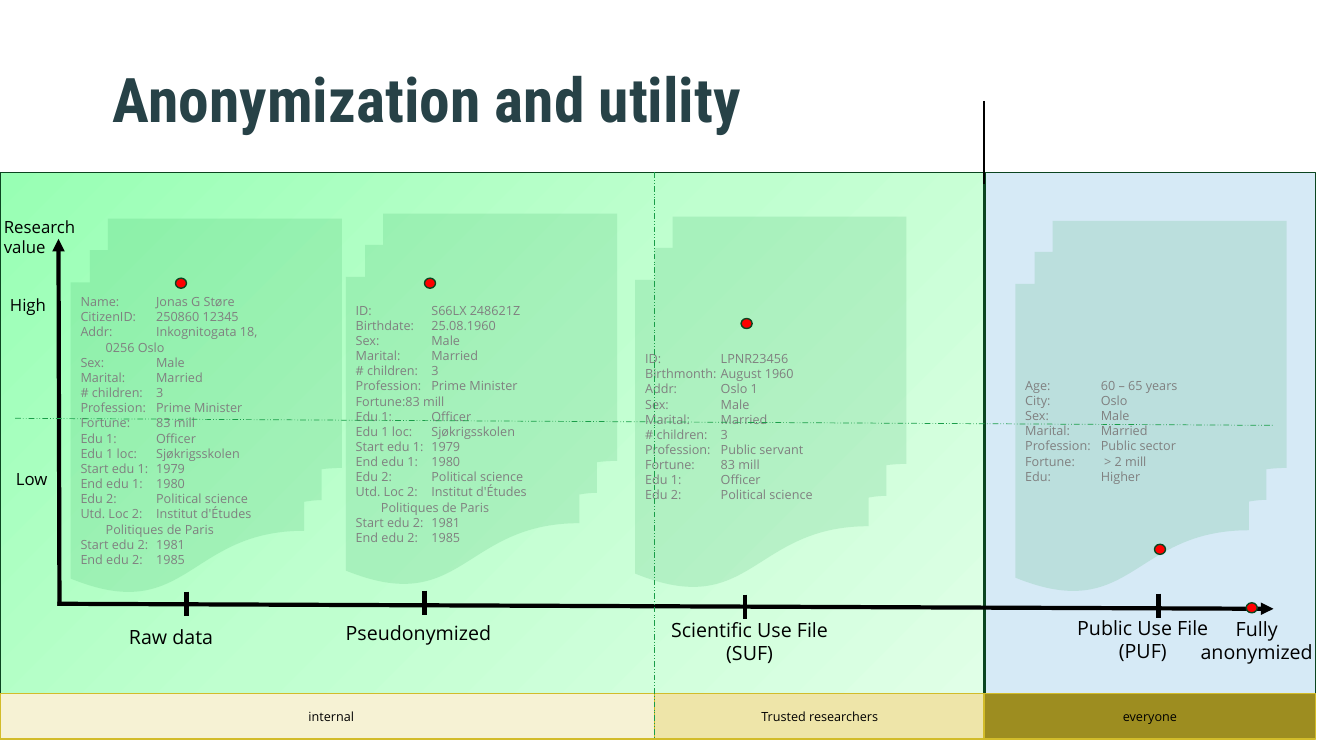
from pptx import Presentation
from pptx.dml.color import RGBColor
from pptx.enum.dml import MSO_LINE
from pptx.enum.shapes import MSO_CONNECTOR, MSO_SHAPE
from pptx.enum.text import MSO_ANCHOR, PP_ALIGN
from pptx.oxml import parse_xml
from pptx.oxml.ns import nsdecls, qn
from pptx.oxml.xmlchemy import OxmlElement
from pptx.util import Pt

PX = 9144  # 100 px to the inch
COLORS = {
    "title": "274247", "black": "000000", "gray": "808080",
    "green": "1A9D49", "dark green": "0B4520", "blue": "D6EAF6", "red": "FF0000",
    "gold": "D2BC2A", "cream": "F6F2D4", "sand": "EEE5A9", "olive": "9D8D20",
}
GRADIENT = {0: "98FFB4", 50: "BFFFCF", 100: "E0FFE7"}
BODY_FONT, TITLE_FONT = "Open Sans", "Roboto Condensed"
VALUE_TAB, CONTINUATION_TAB = 75, 25

PERSON = """Sex:\tMale
Marital:\tMarried
# children:\t3
Profession:\tPrime Minister"""
EDUCATION = """Edu 1:\tOfficer
Edu 1 loc:\tSjøkrigsskolen
Start edu 1:\t1979
End edu 1:\t1980
Edu 2:\tPolitical science
Utd. Loc 2:\tInstitut d'Études\v\tPolitiques de Paris
Start edu 2:\t1981
End edu 2:\t1985"""
RAW = f"""Name:\tJonas G Støre
CitizenID:\t250860 12345
Addr:\tInkognitogata 18,\v\t0256 Oslo
{PERSON}
Fortune:\t83 mill
{EDUCATION}"""
PSEUDONYMIZED = f"""ID:\tS66LX 248621Z
Birthdate:\t25.08.1960
{PERSON}
Fortune:83 mill
{EDUCATION}"""
SCIENTIFIC = """ID:\tLPNR23456
Birthmonth:\tAugust 1960
Addr:\tOslo 1
Sex:\tMale
Marital:\tMarried
# children:\t3
Profession:\tPublic servant
Fortune:\t83 mill
Edu 1:\tOfficer
Edu 2:\tPolitical science"""
PUBLIC = """Age:\t60 – 65 years
City:\tOslo
Sex:\tMale
Marital:\tMarried
Profession:\tPublic sector
Fortune:\t > 2 mill
Edu:\tHigher"""

RECORDS = [(70, 217, 371, RAW), (343, 212, 368, PSEUDONYMIZED),
           (630, 215, 368, SCIENTIFIC), (1007, 219, 368, PUBLIC)]
TICKS = [(185, 587), (421, 586), (739, 590), (1149, 589)]
DOTS = [(174, 276), (421, 276), (735, 316), (1145, 540), (1236, 598)]
BANDS = [(0, 657, "cream", "internal"), (649, 328, "sand", "Trusted researchers"),
         (976, 329, "olive", "everyone")]
LABELS = [
    (1040, 606, 187, 81, "Public Use File (PUF)", 14, PP_ALIGN.CENTER),
    (632, 608, 223, 81, "Scientific Use File (SUF)", 14, PP_ALIGN.CENTER),
    (118, 615, 209, 57, "Raw data", 14, PP_ALIGN.LEFT),
    (333, 611, 263, 34, "Pseudonymized", 14, PP_ALIGN.LEFT),
    (1173, 607, 147, 81, "Fully\nanonymized", 14, PP_ALIGN.CENTER),
    (0, 287, 123, 30, "High", 12, PP_ALIGN.LEFT),
    (6, 460, 123, 30, "Low", 12, PP_ALIGN.LEFT),
    (-6, 210, 123, 50, "Research value", 12, PP_ALIGN.LEFT),
]


def color(name):
    return RGBColor.from_string(COLORS[name])


def add_element(parent, tag, **attributes):
    element = OxmlElement(tag)
    for name, value in attributes.items():
        element.set(name, str(value))
    parent.append(element)
    return element


def write(frame, text, size, ink, align, font=BODY_FONT, bold=False):
    frame.word_wrap = True
    frame.text = text
    for para in frame.paragraphs:
        para.alignment = align
        for span in para.runs:
            span.font.size, span.font.name, span.font.bold = Pt(size), font, bold
            span.font.color.rgb = color(ink)


def add_box(page, kind, left, top, width, height, fill, line=None):
    box = page.shapes.add_shape(kind, left * PX, top * PX, width * PX, height * PX)
    box.shadow.inherit = False
    box.fill.solid()
    box.fill.fore_color.rgb = color(fill)
    if line:
        box.line.color.rgb = color(line)
        box.line.width = Pt(1)
    else:
        box.line.fill.background()
    return box


def add_line(page, start, end, ink="black", width=3, dash=None, arrow=False):
    line = page.shapes.add_connector(
        MSO_CONNECTOR.STRAIGHT, *(length * PX for length in start + end))
    line.line.color.rgb = color(ink)
    line.line.width = Pt(width)
    if dash:
        line.line.dash_style = dash
    if arrow:
        add_element(line.line._get_or_add_ln(), "a:tailEnd", type="triangle")
    add_element(line._element.spPr, "a:effectLst")


def add_internal_zone(page):
    """Rectangle whose gradient spreads from its top left corner."""
    zone = add_box(page, MSO_SHAPE.RECTANGLE, 0, 171, 976, 517, "green", "dark green")
    stops = "".join(f'<a:gs pos="{percent * 1000}"><a:srgbClr val="{shade}"/></a:gs>'
                    for percent, shade in GRADIENT.items())
    gradient = parse_xml(
        f'<a:gradFill {nsdecls("a")} rotWithShape="1"><a:gsLst>{stops}</a:gsLst>'
        '<a:path path="circle"><a:fillToRect r="100000" b="100000"/></a:path></a:gradFill>')
    properties = zone._element.spPr
    properties.replace(properties.find(qn("a:solidFill")), gradient)


def add_record(page, left, top, height, text):
    """Translucent stack of documents listing one person's data."""
    record = add_box(page, MSO_SHAPE.FLOWCHART_MULTIDOCUMENT, left, top, 269, height, "green")
    add_element(record._element.spPr.find(qn("a:solidFill"))[0], "a:alpha", val=14000)
    record.text_frame.vertical_anchor = MSO_ANCHOR.MIDDLE
    write(record.text_frame, text, 9, "gray", PP_ALIGN.LEFT)
    for para in record.text_frame.paragraphs:
        breaks = para._p.findall(qn("a:br"))
        tabs = add_element(para._p.get_or_add_pPr(), "a:tabLst")
        for position in [CONTINUATION_TAB, VALUE_TAB] if breaks else [VALUE_TAB]:
            add_element(tabs, "a:tab", pos=position * PX, algn="l")
        for line_break in breaks:
            add_element(line_break, "a:rPr", sz=900)


def add_label(page, left, top, width, height, text, size, align):
    box = page.shapes.add_textbox(left * PX, top * PX, width * PX, height * PX)
    write(box.text_frame, text, size, "black", align)


def add_band(page, left, width, fill, text):
    band = add_box(page, MSO_SHAPE.RECTANGLE, left, 688, width, 45, fill, "gold")
    band.text_frame.vertical_anchor = MSO_ANCHOR.MIDDLE
    write(band.text_frame, text, 9, "black", PP_ALIGN.CENTER)


def set_title(page, text):
    title = page.shapes.title
    title.left, title.top, title.width, title.height = (
        length * PX for length in (102, 33, 1056, 143))
    frame = title.text_frame
    frame.vertical_anchor = MSO_ANCHOR.MIDDLE
    frame.margin_left = frame.margin_right = 10 * PX
    frame.margin_top, frame.margin_bottom = 0, 5 * PX
    write(frame, text, 44, "title", PP_ALIGN.LEFT, TITLE_FONT, True)
    frame.paragraphs[0].line_spacing = 0.9


def main():
    deck = Presentation()
    deck.slide_width, deck.slide_height = 1333 * PX, 750 * PX
    page = deck.slides.add_slide(deck.slide_layouts[5])
    set_title(page, "Anonymization and utility")
    add_internal_zone(page)
    add_box(page, MSO_SHAPE.RECTANGLE, 977, 171, 328, 517, "blue", "dark green")
    for record in RECORDS:
        add_record(page, *record)
    add_line(page, (57, 599), (1263, 604), arrow=True)
    for x, top in TICKS:
        add_line(page, (x, top), (x, top + 24))
    for band in BANDS:
        add_band(page, *band)
    add_line(page, (649, 171), (649, 733), "green", 0.5, MSO_LINE.DASH_DOT_DOT)
    add_line(page, (976, 100), (976, 183), width=1)
    add_line(page, (59, 601), (58, 237), arrow=True)
    for label in LABELS:
        add_label(page, *label)
    for left, top in DOTS:
        add_box(page, MSO_SHAPE.FLOWCHART_CONNECTOR, left, top, 11, 10, "red", "dark green")
    add_line(page, (15, 415), (1263, 422), "green", 0.5, MSO_LINE.DASH_DOT_DOT)
    deck.save("out.pptx")


if __name__ == "__main__":
    main()
